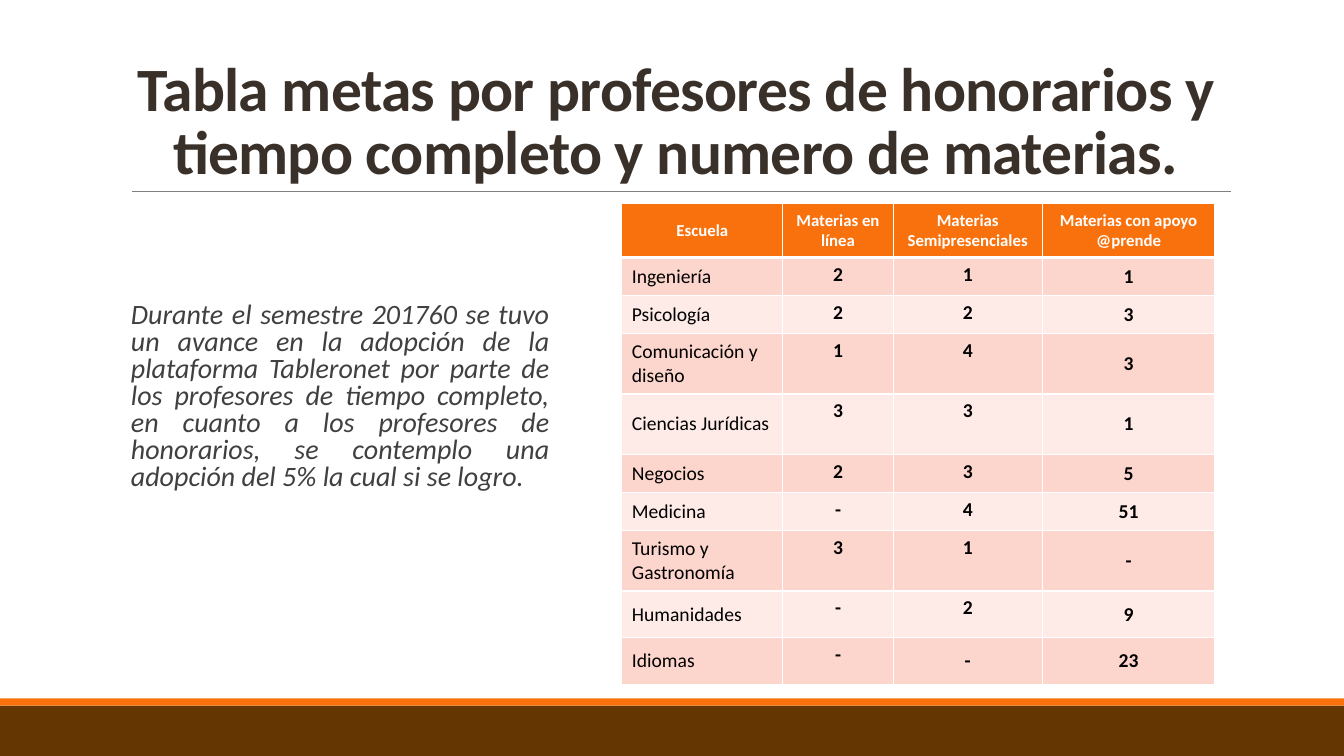
from dataclasses import dataclass

from lxml.etree import SubElement
from pptx import Presentation
from pptx.dml.color import RGBColor
from pptx.enum.shapes import MSO_CONNECTOR as Connector, MSO_SHAPE as Preset
from pptx.enum.text import MSO_ANCHOR as Anchor, PP_ALIGN as Align
from pptx.oxml.ns import qn
from pptx.util import Cm, Pt


@dataclass(frozen=True)
class Theme:
    """Colours, font and type sizes of the slide."""
    font: str = "Calibri"
    title: str = "39302A"
    body: str = "404040"
    orange: str = "F8710C"
    brown: str = "643702"
    rule: str = "808080"
    white: str = "FFFFFF"
    black: str = "000000"
    bands: tuple = ("FCD5CC", "FEEBE7")
    title_size: int = 44
    body_size: int = 20
    header_size: int = 12
    cell_size: int = 14


THEME = Theme()
TITLE = "Tabla metas por profesores de honorarios y tiempo completo y numero de materias."
BODY = (
    "Durante el semestre 201760 se tuvo un avance en la adopción de la plataforma "
    "Tableronet por parte de los profesores de tiempo completo, en cuanto a los "
    "profesores de honorarios, se contemplo una adopción del 5% la cual si se logro."
)
HEADERS = ("Escuela", "Materias en línea", "Materias Semipresenciales",
           "Materias con apoyo @prende")
SCHOOLS = (
    ("Ingeniería", "2", "1", "1"),
    ("Psicología", "2", "2", "3"),
    ("Comunicación y diseño", "1", "4", "3"),
    ("Ciencias Jurídicas", "3", "3", "1"),
    ("Negocios", "2", "3", "5"),
    ("Medicina", "-", "4", "51"),
    ("Turismo y Gastronomía", "3", "1", "-"),
    ("Humanidades", "-", "2", "9"),
    ("Idiomas", "-", "-", "23"),
)
COLUMN_WIDTHS = (4.06, 2.78, 3.76, 4.35)
ROW_HEIGHTS = (1.36, 0.96, 0.96, 1.52, 1.52, 0.96, 0.96, 1.52, 1.18, 1.18)


def color(value):
    """Return the colour for a hexadecimal value."""
    return RGBColor.from_string(value)


def format_text(paragraph, size, value, bold=False, italic=False):
    """Format every run of a paragraph."""
    for run in paragraph.runs:
        run.font.name = THEME.font
        run.font.size = Pt(size)
        run.font.bold = bold
        run.font.italic = italic
        run.font.color.rgb = color(value)


def add_band(slide, top, height, value):
    """Add a full-width footer band."""
    shape = slide.shapes.add_shape(Preset.RECTANGLE, 0, Cm(top), Cm(33.87), Cm(height))
    shape.shadow.inherit = False
    shape.fill.solid()
    shape.fill.fore_color.rgb = color(value)
    shape.line.fill.background()


def add_rule(slide, left, right, top):
    """Add the thin horizontal rule under the title."""
    line = slide.shapes.add_connector(
        Connector.STRAIGHT, Cm(left), Cm(top), Cm(right), Cm(top))
    line.line.color.rgb = color(THEME.rule)
    line.line.width = Pt(0.5)
    SubElement(line._element.spPr, qn("a:effectLst"))


def add_text(slide, text, left, top, width, height, alignment, spacing):
    """Add a wrapped text box and return its frame and paragraph."""
    box = slide.shapes.add_textbox(Cm(left), Cm(top), Cm(width), Cm(height))
    frame = box.text_frame
    frame.word_wrap = True
    frame.text = text
    paragraph = frame.paragraphs[0]
    paragraph.alignment = alignment
    paragraph.line_spacing = spacing
    return frame, paragraph


def add_title(slide):
    """Add the slide title."""
    frame, paragraph = add_text(slide, TITLE, 3.05, 0.79, 27.94, 4.04, Align.CENTER, 0.85)
    frame.vertical_anchor = Anchor.BOTTOM
    format_text(paragraph, THEME.title_size, THEME.title, bold=True)
    paragraph.runs[0].font._element.set("spc", "-50")


def add_body(slide):
    """Add the justified comment beside the table."""
    frame, paragraph = add_text(slide, BODY, 3.05, 7.52, 10.8, 5.61, Align.JUSTIFY, 0.8)
    frame.margin_left = Cm(0.25)
    frame.margin_right = 0
    format_text(paragraph, THEME.body_size, THEME.body, italic=True)


def set_borders(cell, top, bottom):
    """Give a cell white borders with the given top and bottom widths."""
    properties = cell._tc.get_or_add_tcPr()
    for side, width in (("L", 1), ("R", 1), ("T", top), ("B", bottom)):
        line = SubElement(properties, qn(f"a:ln{side}"), w=str(Pt(width)))
        fill = SubElement(line, qn("a:solidFill"))
        SubElement(fill, qn("a:srgbClr"), val=THEME.white)


def fill_cell(cell, text, row, column):
    """Write and style one table cell by its position."""
    header = row == 0
    set_borders(cell, 3 if row == 1 else 1, 3 if header else 1)
    cell.fill.solid()
    cell.fill.fore_color.rgb = color(THEME.orange if header else THEME.bands[(row - 1) % 2])
    cell.text = text
    last_semi = row == len(SCHOOLS) and column == 2
    middle = header or column in (0, 3) or last_semi
    cell.vertical_anchor = Anchor.MIDDLE if middle else Anchor.TOP
    paragraph = cell.text_frame.paragraphs[0]
    paragraph.alignment = Align.CENTER if header or column else Align.LEFT
    format_text(paragraph, THEME.header_size if header else THEME.cell_size,
                THEME.white if header else THEME.black, bold=header or column > 0)


def add_school_table(slide):
    """Add the table of subjects by school."""
    records = (HEADERS, *SCHOOLS)
    table = slide.shapes.add_table(
        len(records), len(HEADERS), Cm(15.67), Cm(5.13),
        Cm(sum(COLUMN_WIDTHS)), Cm(sum(ROW_HEIGHTS))).table
    for column, width in zip(table.columns, COLUMN_WIDTHS):
        column.width = Cm(width)
    for row, height in zip(table.rows, ROW_HEIGHTS):
        row.height = Cm(height)
    for row, record in enumerate(records):
        for column, text in enumerate(record):
            fill_cell(table.cell(row, column), text, row, column)


def main():
    """Build and save the presentation."""
    presentation = Presentation()
    presentation.slide_width = Cm(33.87)
    presentation.slide_height = Cm(19.05)
    slide = presentation.slides.add_slide(presentation.slide_layouts[6])
    add_band(slide, 17.78, 1.27, THEME.brown)
    add_band(slide, 17.6, 0.18, THEME.orange)
    add_rule(slide, 3.33, 31.01, 4.83)
    add_title(slide)
    add_body(slide)
    add_school_table(slide)
    presentation.save("out.pptx")


if __name__ == "__main__":
    main()
